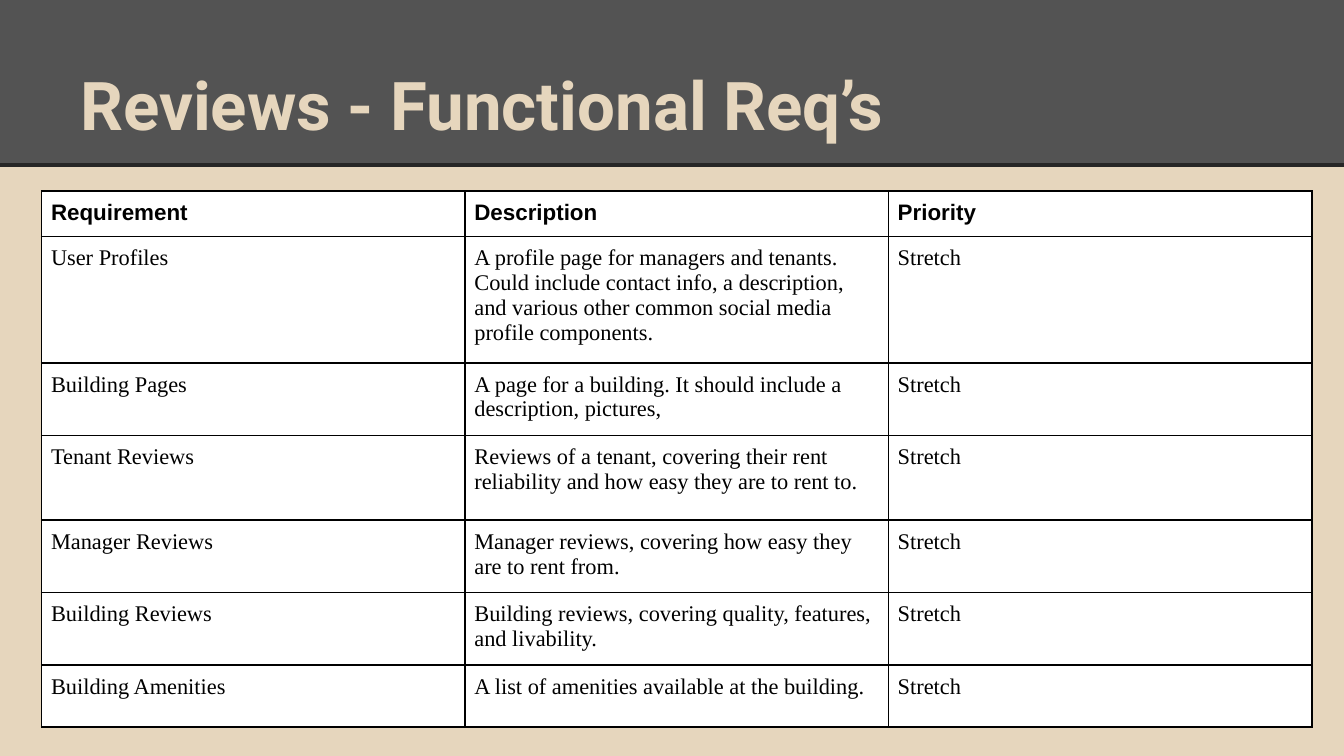
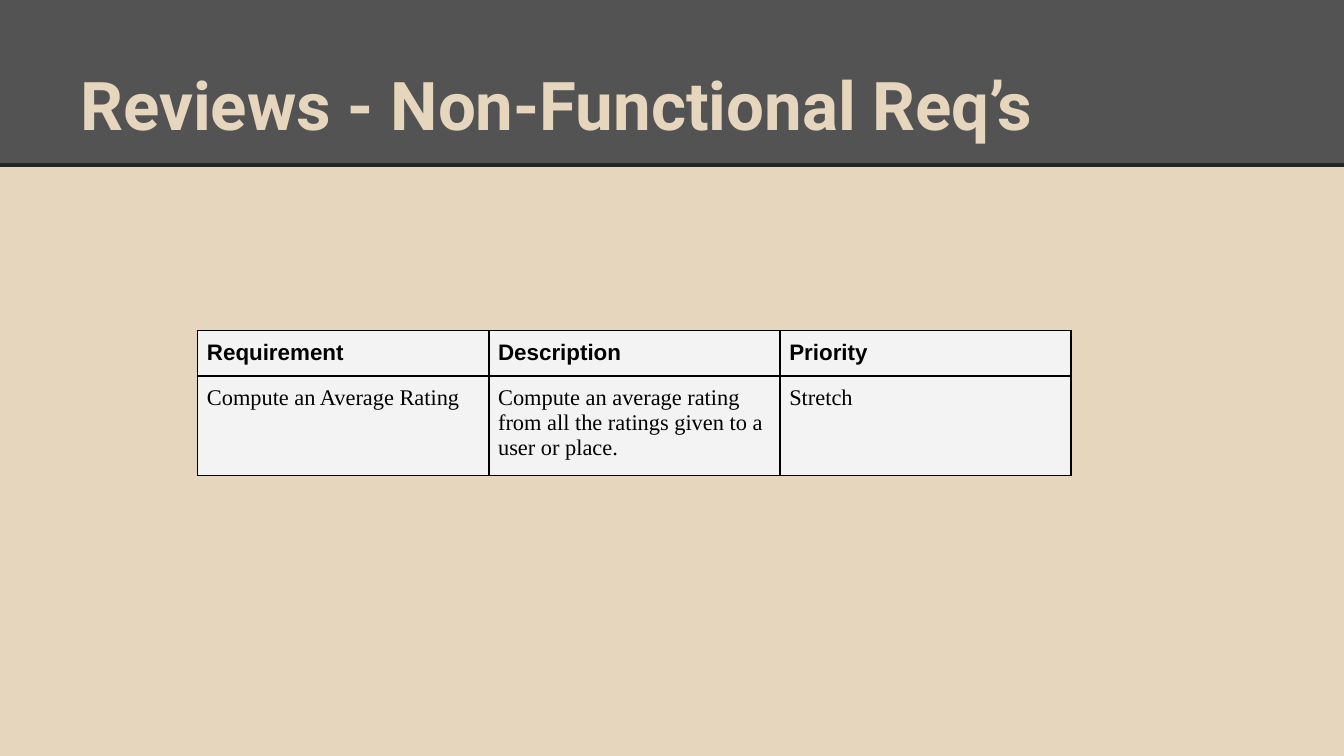
import dataclasses

import lxml.etree
import pptx
import pptx.dml.color
import pptx.enum.shapes
import pptx.enum.text
import pptx.oxml.ns
import pptx.presentation
import pptx.slide
import pptx.table
import pptx.util

Inches = pptx.util.Inches
Pt = pptx.util.Pt
RGBColor = pptx.dml.color.RGBColor
qn = pptx.oxml.ns.qn

SAND = RGBColor(0xE6, 0xD6, 0xBD)
BAND_GRAY = RGBColor(0x53, 0x53, 0x53)
RULE_GRAY = RGBColor(0x26, 0x26, 0x26)
BLACK = RGBColor(0x00, 0x00, 0x00)
WHITE = RGBColor(0xFF, 0xFF, 0xFF)
PALE_GRAY = RGBColor(0xF3, 0xF3, 0xF3)

TITLE_FONT = "Roboto"
HEADER_FONT = "Arial"
BODY_FONT = "Times New Roman"

SLIDE_WIDTH = Inches(10)
SLIDE_HEIGHT = SLIDE_WIDTH * 9 // 16
BAND_HEIGHT = Inches(1.23)
CELL_MARGIN = Inches(0.07)
HEADER_HEIGHT = 0.32
HEADERS = ("Requirement", "Description", "Priority")
PRIORITY = "Stretch"


@dataclasses.dataclass(frozen=True)
class Requirement:
    name: str
    description: str
    height: float


@dataclasses.dataclass(frozen=True)
class RequirementSlide:
    title: str
    left: float
    top: float
    width: float
    fill: RGBColor
    requirements: tuple[Requirement, ...]


REQUIREMENT_SLIDES = (
    RequirementSlide(
        "Reviews - Functional Req’s", 0.31, 1.42, 9.45, WHITE,
        (
            Requirement(
                "User Profiles",
                "A profile page for managers and tenants. Could include contact info, "
                "a description, and various other common social media profile components.",
                0.87,
            ),
            Requirement(
                "Building Pages",
                "A page for a building. It should include a description, pictures,",
                0.5,
            ),
            Requirement(
                "Tenant Reviews",
                "Reviews of a tenant, covering their rent reliability "
                "and how easy they are to rent to.",
                0.63,
            ),
            Requirement(
                "Manager Reviews",
                "Manager reviews, covering how easy they are to rent from.",
                0.5,
            ),
            Requirement(
                "Building Reviews",
                "Building reviews, covering quality, features, and livability.",
                0.5,
            ),
            Requirement(
                "Building Amenities",
                "A list of amenities available at the building.",
                0.46,
            ),
        ),
    ),
    RequirementSlide(
        "Reviews - Non-Functional Req’s", 1.47, 2.46, 6.5, PALE_GRAY,
        (
            Requirement(
                "Compute an Average Rating",
                "Compute an average rating from all the ratings given to a user or place.",
                0.69,
            ),
        ),
    ),
)


def add_title_band(slide: pptx.slide.Slide, title: str) -> None:
    slide.background.fill.solid()
    slide.background.fill.fore_color.rgb = SAND

    band = slide.shapes.add_shape(
        pptx.enum.shapes.MSO_SHAPE.RECTANGLE, 0, 0, SLIDE_WIDTH, BAND_HEIGHT
    )
    band.shadow.inherit = False
    band.fill.solid()
    band.fill.fore_color.rgb = BAND_GRAY
    band.line.fill.background()

    rule = slide.shapes.add_connector(
        pptx.enum.shapes.MSO_CONNECTOR.STRAIGHT, 0, BAND_HEIGHT, SLIDE_WIDTH, BAND_HEIGHT
    )
    rule.line.color.rgb = RULE_GRAY
    rule.line.width = Pt(2.25)
    lxml.etree.SubElement(rule.element.spPr, qn("a:effectLst"))

    title_box = slide.shapes.add_textbox(Inches(0.5), Inches(0.23), Inches(9), Inches(0.94))
    frame = title_box.text_frame
    frame.word_wrap = True
    frame.vertical_anchor = pptx.enum.text.MSO_ANCHOR.BOTTOM
    frame.margin_left = frame.margin_right = Inches(0.1)
    frame.margin_top = frame.margin_bottom = Inches(0.1)
    paragraph = frame.paragraphs[0]
    paragraph.text = title
    paragraph.font.name = TITLE_FONT
    paragraph.font.size = Pt(36)
    paragraph.font.bold = True
    paragraph.font.color.rgb = SAND


def add_cell_borders(cell: pptx.table._Cell) -> None:
    properties = cell._tc.get_or_add_tcPr()
    for side in ("a:lnL", "a:lnR", "a:lnT", "a:lnB"):
        border = lxml.etree.SubElement(properties, qn(side), w=str(Pt(1)))
        fill = lxml.etree.SubElement(border, qn("a:solidFill"))
        lxml.etree.SubElement(fill, qn("a:srgbClr"), val=str(BLACK))


def format_cell(cell: pptx.table._Cell, text: str, fill: RGBColor, is_header: bool) -> None:
    add_cell_borders(cell)
    cell.fill.solid()
    cell.fill.fore_color.rgb = fill
    cell.margin_left = cell.margin_right = CELL_MARGIN
    cell.margin_top = cell.margin_bottom = CELL_MARGIN
    run = cell.text_frame.paragraphs[0].add_run()
    run.text = text
    run.font.name = HEADER_FONT if is_header else BODY_FONT
    run.font.size = Pt(12)
    run.font.bold = is_header
    run.font.color.rgb = BLACK


def add_requirement_table(slide: pptx.slide.Slide, content: RequirementSlide) -> None:
    rows = [HEADERS] + [(item.name, item.description, PRIORITY) for item in content.requirements]
    heights = [HEADER_HEIGHT] + [item.height for item in content.requirements]
    table = slide.shapes.add_table(
        len(rows), len(HEADERS), Inches(content.left), Inches(content.top),
        Inches(content.width), Inches(sum(heights)),
    ).table
    table.horz_banding = False
    for row_index, (texts, height) in enumerate(zip(rows, heights)):
        table.rows[row_index].height = Inches(height)
        for column_index, text in enumerate(texts):
            cell = table.cell(row_index, column_index)
            format_cell(cell, text, content.fill, row_index == 0)


def add_requirement_slide(
    presentation: pptx.presentation.Presentation, content: RequirementSlide
) -> None:
    slide = presentation.slides.add_slide(presentation.slide_layouts[6])
    add_title_band(slide, content.title)
    add_requirement_table(slide, content)


def main() -> None:
    presentation = pptx.Presentation()
    presentation.slide_width = SLIDE_WIDTH
    presentation.slide_height = SLIDE_HEIGHT
    for content in REQUIREMENT_SLIDES:
        add_requirement_slide(presentation, content)
    presentation.save("out.pptx")


if __name__ == "__main__":
    main()
